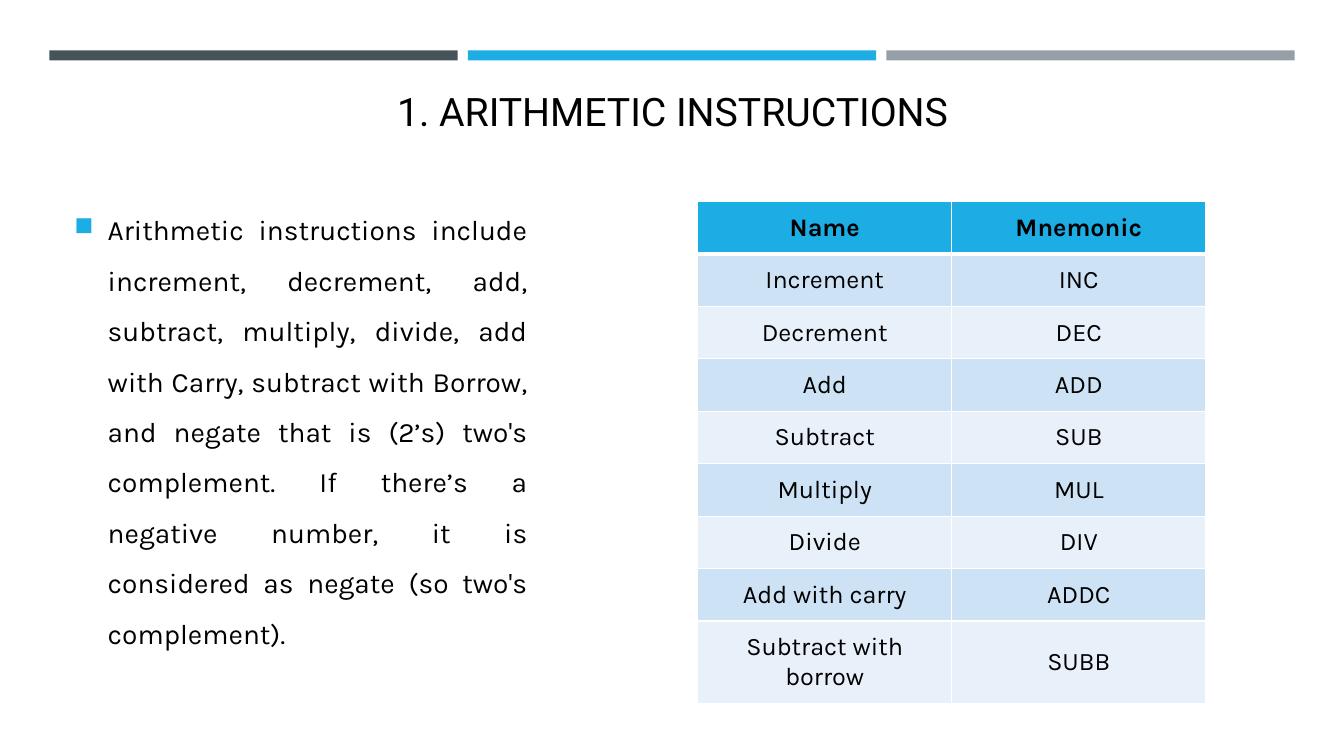
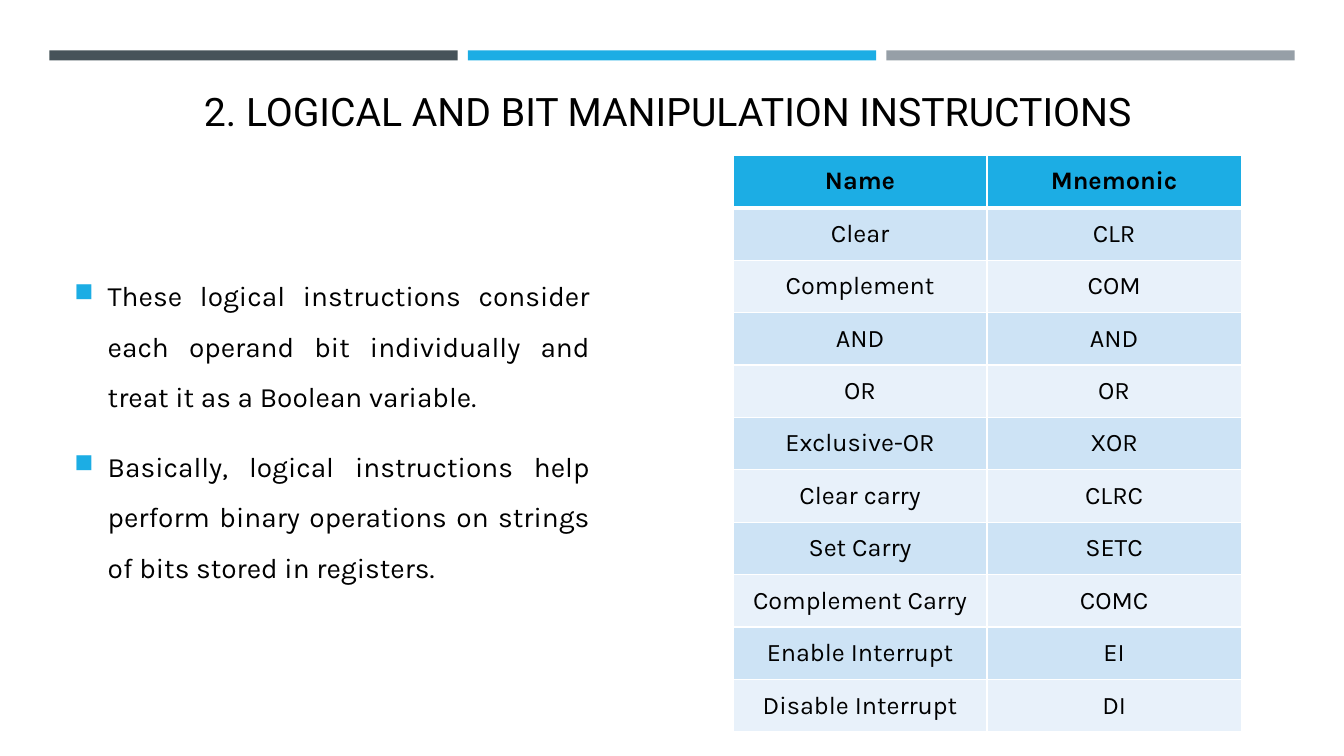
"""Build two slides listing microcontroller instructions and their mnemonics."""
from dataclasses import dataclass

from lxml import etree
from pptx import Presentation
from pptx import util as u
from pptx.dml.color import RGBColor
from pptx.enum import shapes, text
from pptx.oxml import ns
from pptx.slide import Slide
from pptx.table import _Cell
from pptx.text.text import TextFrame, _Paragraph

COLORS = {
    "slate": "465359",
    "blue": "1CADE4",
    "gray": "969FA7",
    "row_dark": "CDE3F5",
    "row_light": "E8F1FA",
    "text": "000000",
    "line": "FFFFFF",
}
TITLE_FONT, BODY_FONT = "Roboto", "Karla"
MARGIN, BAND_TOP, BAND_WIDTH, BAND_GAP, BAND_HEIGHT = 0.49, 0.5, 4.05, 0.1, 0.1
TEXT_LEFT, TITLE_TOP, TITLE_WIDTH, TITLE_HEIGHT = 0.64, 0.8, 12.06, 0.58
BODY_TOP, BODY_HEIGHT, INDENT = 1.69, 5.01, 0.33
COL_WIDTH, ROW_HEIGHT, CELL_INSET = 2.52, 0.5, 0.11
HEADER = ("Name", "Mnemonic")


@dataclass(frozen=True)
class Topic:
    """Content of one slide, with the places that vary."""

    title: str
    bullets: tuple[str, ...]
    body_width: float
    table_left: float
    table_top: float
    rows: tuple[tuple[str, str], ...]


TOPICS = (
    Topic(
        "1. ARITHMETIC INSTRUCTIONS",
        (
            "Arithmetic instructions include increment, decrement, add, subtract, "
            "multiply, divide, add with Carry, subtract with Borrow, and negate that "
            "is (2’s) two's complement. If there’s a negative number, it is "
            "considered as negate (so two's complement). ",
        ),
        4.69, 6.92, 2.0,
        (
            ("Increment", "INC"),
            ("Decrement", "DEC"),
            ("Add", "ADD"),
            ("Subtract", "SUB"),
            ("Multiply", "MUL"),
            ("Divide", "DIV"),
            ("Add with carry", "ADDC"),
            ("Subtract with borrow", "SUBB"),
        ),
    ),
    Topic(
        "2. LOGICAL AND BIT MANIPULATION INSTRUCTIONS ",
        (
            "These logical instructions consider each operand bit individually and "
            "treat it as a Boolean variable. ",
            "Basically, logical instructions help perform binary operations on "
            "strings of bits stored in registers. ",
        ),
        5.31, 7.27, 1.54,
        (
            ("Clear", "CLR"),
            ("Complement", "COM"),
            ("AND", "AND"),
            ("OR", "OR"),
            ("Exclusive-OR", "XOR"),
            ("Clear carry", "CLRC"),
            ("Set Carry", "SETC"),
            ("Complement Carry", "COMC"),
            ("Enable Interrupt", "EI"),
            ("Disable Interrupt", "DI"),
        ),
    ),
)


def rgb(name: str) -> RGBColor:
    """Look up a palette colour."""
    return RGBColor.from_string(COLORS[name])


def add_sub(parent: etree._Element, tag: str, **attrs: str) -> etree._Element:
    """Append a DrawingML child element."""
    return etree.SubElement(parent, ns.qn(f"a:{tag}"), attrs)


def style(p: _Paragraph, font: str, size: float, align: text.PP_ALIGN,
          bold: bool = False) -> None:
    """Set the font and alignment of a paragraph."""
    p.alignment = align
    p.font.name, p.font.size, p.font.bold = font, u.Pt(size), bold
    p.font.color.rgb = rgb("text")


def add_bands(s: Slide) -> None:
    """Draw the three bands along the top."""
    for i, color in enumerate(("slate", "blue", "gray")):
        left = MARGIN + i * (BAND_WIDTH + BAND_GAP)
        sp = s.shapes.add_shape(
            shapes.MSO_SHAPE.RECTANGLE, u.Inches(left), u.Inches(BAND_TOP),
            u.Inches(BAND_WIDTH), u.Inches(BAND_HEIGHT))
        sp.shadow.inherit = False
        sp.fill.solid()
        sp.fill.fore_color.rgb = rgb(color)
        sp.line.fill.background()


def add_text(s: Slide, top: float, width: float, height: float,
             anchor: text.MSO_ANCHOR) -> TextFrame:
    """Add a wrapping text box at the left text edge."""
    tf = s.shapes.add_textbox(u.Inches(TEXT_LEFT), u.Inches(top),
                              u.Inches(width), u.Inches(height)).text_frame
    tf.word_wrap, tf.vertical_anchor = True, anchor
    return tf


def add_title(s: Slide, title: str) -> None:
    """Add the centred slide title."""
    tf = add_text(s, TITLE_TOP, TITLE_WIDTH, TITLE_HEIGHT, text.MSO_ANCHOR.BOTTOM)
    tf.text = title
    style(tf.paragraphs[0], TITLE_FONT, 28, text.PP_ALIGN.CENTER)


def set_bullet(p: _Paragraph) -> None:
    """Give a paragraph a hanging square bullet."""
    pPr = p._p.get_or_add_pPr()
    pPr.set("marL", str(u.Inches(INDENT)))
    pPr.set("indent", str(-u.Inches(INDENT)))
    add_sub(add_sub(pPr, "buClr"), "srgbClr", val=COLORS["blue"])
    add_sub(pPr, "buSzPct", val="92000")
    add_sub(pPr, "buChar", char="■")


def add_bullets(s: Slide, bullets: tuple[str, ...], width: float) -> None:
    """Add the justified bullet list."""
    tf = add_text(s, BODY_TOP, width, BODY_HEIGHT, text.MSO_ANCHOR.MIDDLE)
    tf.text = "\n".join(bullets)
    for p in tf.paragraphs:
        set_bullet(p)
        p.line_spacing, p.space_before, p.space_after = 1.5, u.Pt(4), u.Pt(10)
        style(p, BODY_FONT, 20, text.PP_ALIGN.JUSTIFY)


def set_borders(cell: _Cell, top: float, bottom: float) -> None:
    """Draw the four cell borders, with widths in points."""
    tcPr = cell._tc.get_or_add_tcPr()
    for side, width in (("L", 1), ("R", 1), ("T", top), ("B", bottom)):
        ln = add_sub(tcPr, f"ln{side}", w=str(u.Pt(width)))
        add_sub(add_sub(ln, "solidFill"), "srgbClr", val=COLORS["line"])


def fill_cell(cell: _Cell, label: str, row: int) -> None:
    """Write and style one cell according to its row."""
    set_borders(cell, 3 if row == 1 else 1, 3 if row == 0 else 1)
    cell.fill.solid()
    band = "row_dark" if row % 2 else "row_light"
    cell.fill.fore_color.rgb = rgb("blue" if row == 0 else band)
    cell.margin_left = cell.margin_right = u.Inches(CELL_INSET)
    cell.margin_top = cell.margin_bottom = u.Inches(CELL_INSET)
    cell.vertical_anchor = text.MSO_ANCHOR.MIDDLE
    cell.text = label
    style(cell.text_frame.paragraphs[0], BODY_FONT, 18, text.PP_ALIGN.CENTER,
          bold=row == 0)


def add_mnemonics(s: Slide, topic: Topic) -> None:
    """Add the table of names and mnemonics."""
    rows = (HEADER, *topic.rows)
    table = s.shapes.add_table(
        len(rows), len(HEADER), u.Inches(topic.table_left), u.Inches(topic.table_top),
        u.Inches(COL_WIDTH * len(HEADER)), u.Inches(ROW_HEIGHT * len(rows))).table
    for i, labels in enumerate(rows):
        for j, label in enumerate(labels):
            fill_cell(table.cell(i, j), label, i)


def main() -> None:
    """Build and save the presentation."""
    prs = Presentation()
    prs.slide_width, prs.slide_height = u.Inches(13.33), u.Inches(7.5)
    for topic in TOPICS:
        s = prs.slides.add_slide(prs.slide_layouts[6])
        add_bands(s)
        add_title(s, topic.title)
        add_bullets(s, topic.bullets, topic.body_width)
        add_mnemonics(s, topic)
    prs.save("out.pptx")


if __name__ == "__main__":
    main()
